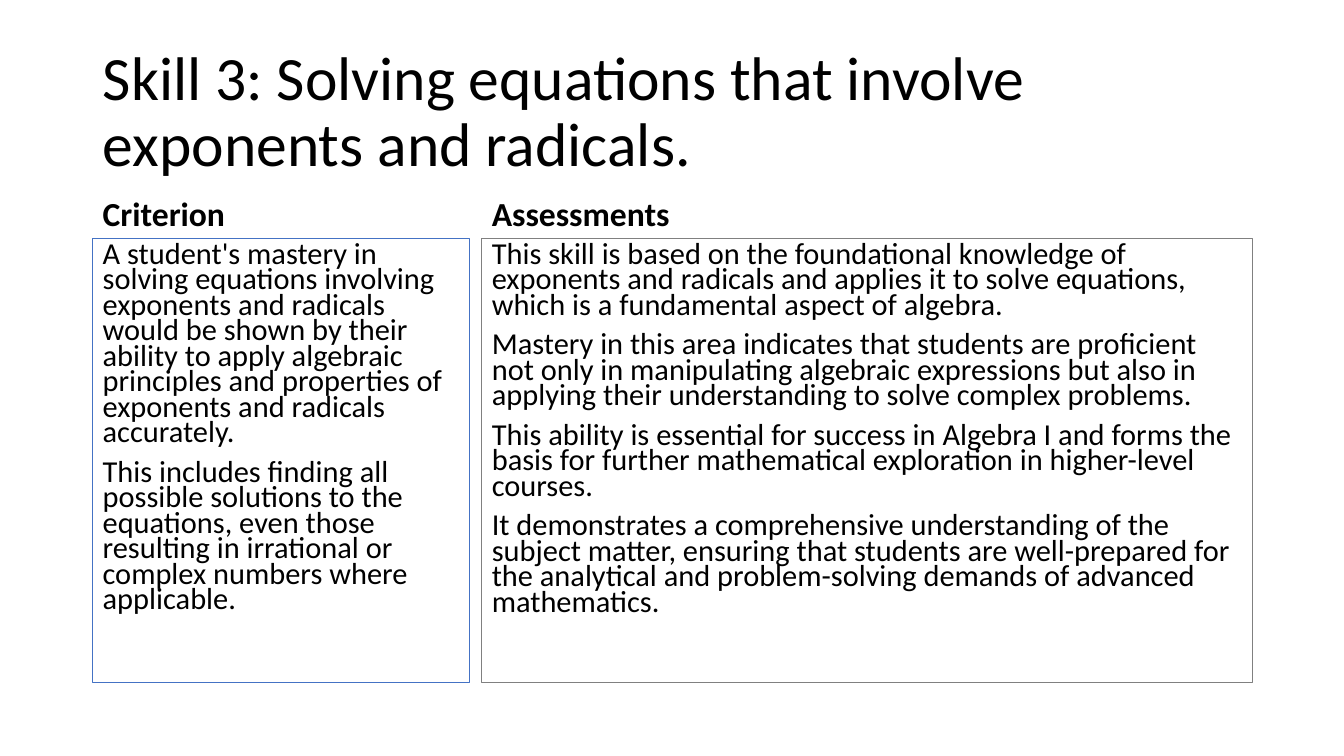
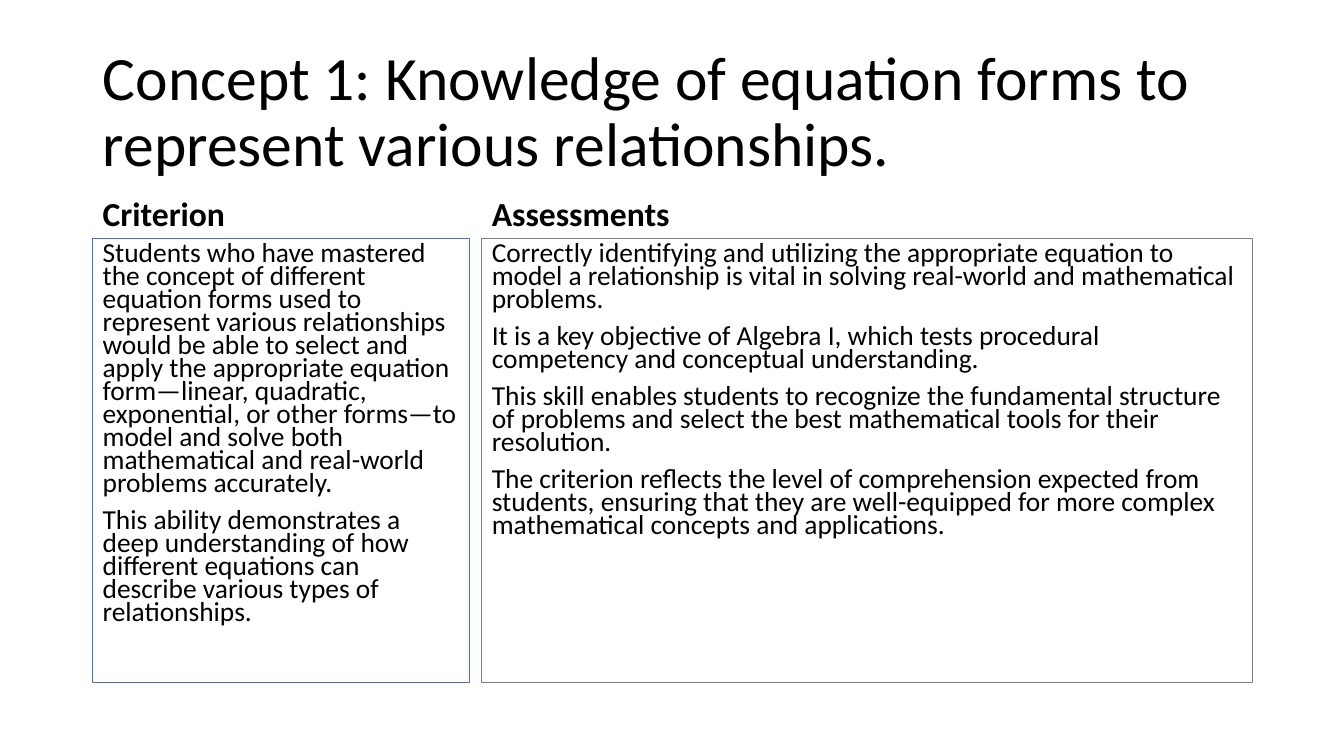
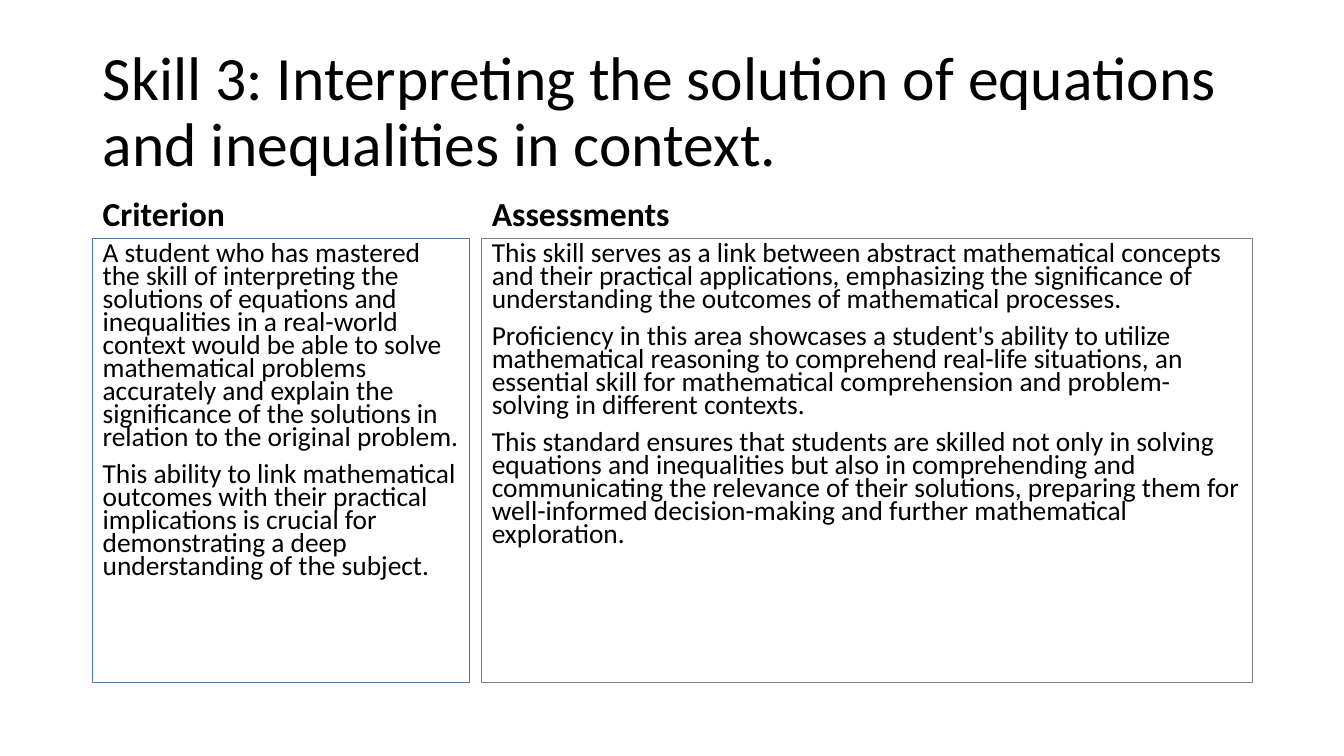
from pptx import Presentation
from pptx.dml.color import RGBColor
from pptx.enum.shapes import MSO_SHAPE as Shape
from pptx.enum.text import MSO_ANCHOR as Anchor, MSO_AUTO_SIZE as Auto, PP_ALIGN as Align
from pptx.util import Inches, Pt

# Shared style
INK, BLUE, GRAY = "000000", "4472C4", "808080"
TITLE = {"size": Pt(44), "bold": False}
HEAD = {"size": Pt(24), "bold": True}
LEFT, TOP, HEAD_H, BODY_H = 0.92, 1.78, 0.59, 4.4
COLUMNS = [  # heading, left, width, border
    ("Criterion", LEFT, 3.74, BLUE),
    ("Assessments", 4.78, 7.64, GRAY),
]

SLIDES = [
    {
        "title": "Skill 3: Solving equations that involve exponents and radicals.",
        "size": 21.7,
        "texts": [
            [
                "A student's mastery in solving equations involving exponents and radicals would be "
                "shown by their ability to apply algebraic principles and properties of exponents "
                "and radicals accurately.",
                "This includes finding all possible solutions to the equations, even those "
                "resulting in irrational or complex numbers where applicable.",
            ],
            [
                "This skill is based on the foundational knowledge of exponents and radicals and "
                "applies it to solve equations, which is a fundamental aspect of algebra.",
                "Mastery in this area indicates that students are proficient not only in "
                "manipulating algebraic expressions but also in applying their understanding to "
                "solve complex problems.",
                "This ability is essential for success in Algebra I and forms the basis for "
                "further mathematical exploration in higher-level courses.",
                "It demonstrates a comprehensive understanding of the subject matter, ensuring "
                "that students are well-prepared for the analytical and problem-solving demands "
                "of advanced mathematics.",
            ],
        ],
    },
    {
        "title": "Concept 1: Knowledge of equation forms to represent various relationships.",
        "size": 19.6,
        "texts": [
            [
                "Students who have mastered the concept of different equation forms used to "
                "represent various relationships would be able to select and apply the "
                "appropriate equation form—linear, quadratic, exponential, or other forms—to "
                "model and solve both mathematical and real-world problems accurately.",
                "This ability demonstrates a deep understanding of how different equations can "
                "describe various types of relationships.",
            ],
            [
                "Correctly identifying and utilizing the appropriate equation to model a "
                "relationship is vital in solving real-world and mathematical problems.",
                "It is a key objective of Algebra I, which tests procedural competency and "
                "conceptual understanding.",
                "This skill enables students to recognize the fundamental structure of problems "
                "and select the best mathematical tools for their resolution.",
                "The criterion reflects the level of comprehension expected from students, "
                "ensuring that they are well-equipped for more complex mathematical concepts "
                "and applications.",
            ],
        ],
    },
    {
        "title": "Skill 3: Interpreting the solution of equations and inequalities in context.",
        "size": 19.6,
        "texts": [
            [
                "A student who has mastered the skill of interpreting the solutions of equations "
                "and inequalities in a real-world context would be able to solve mathematical "
                "problems accurately and explain the significance of the solutions in relation "
                "to the original problem.",
                "This ability to link mathematical outcomes with their practical implications is "
                "crucial for demonstrating a deep understanding of the subject.",
            ],
            [
                "This skill serves as a link between abstract mathematical concepts and their "
                "practical applications, emphasizing the significance of understanding the "
                "outcomes of mathematical processes.",
                "Proficiency in this area showcases a student's ability to utilize mathematical "
                "reasoning to comprehend real-life situations, an essential skill for "
                "mathematical comprehension and problem-solving in different contexts.",
                "This standard ensures that students are skilled not only in solving equations "
                "and inequalities but also in comprehending and communicating the relevance of "
                "their solutions, preparing them for well-informed decision-making and further "
                "mathematical exploration.",
            ],
        ],
    },
]


def color(value):
    return RGBColor.from_string(value)


def write(shape, texts, style, anchor, spacing):
    """Fill a shape with left-aligned paragraphs in one style."""
    frame = shape.text_frame
    frame.word_wrap = True
    frame.auto_size = Auto.NONE
    frame.vertical_anchor = anchor
    for i, text in enumerate(texts):
        para = frame.add_paragraph() if i else frame.paragraphs[0]
        para.alignment = Align.LEFT
        para.line_spacing = spacing
        para.space_before = Pt(10 if i else 0)
        run = para.add_run()
        run.text = text
        for name, value in {"name": "Calibri", **style}.items():
            setattr(run.font, name, value)
        run.font.color.rgb = color(INK)


def add_title(slide, text):
    title = slide.shapes.title
    title.left, title.top = Inches(LEFT), Inches(0.4)
    title.width, title.height = Inches(11.5), Inches(1.45)
    write(title, [text], TITLE, Anchor.MIDDLE, 0.9)


def add_column(slide, head, left, width, border, texts, size):
    """Bold heading above a framed body of the same width."""
    x, y, w = Inches(left), Inches(TOP), Inches(width)
    label = slide.shapes.add_textbox(x, y, w, Inches(HEAD_H))
    write(label, [head], HEAD, Anchor.BOTTOM, 0.9)

    body = slide.shapes.add_shape(
        Shape.RECTANGLE, x, y + Inches(HEAD_H), w, Inches(BODY_H))
    body.shadow.inherit = False
    body.fill.background()
    body.line.color.rgb = color(border)
    body.line.width = Pt(0.75)
    write(body, texts, {"size": Pt(size)}, Anchor.TOP, 0.7)


def main():
    deck = Presentation()
    deck.slide_width, deck.slide_height = Inches(13.33), Inches(7.5)
    for item in SLIDES:
        slide = deck.slides.add_slide(deck.slide_layouts.get_by_name("Title Only"))
        add_title(slide, item["title"])
        for column, texts in zip(COLUMNS, item["texts"]):
            add_column(slide, *column, texts, item["size"])
    deck.save("out.pptx")


if __name__ == "__main__":
    main()
